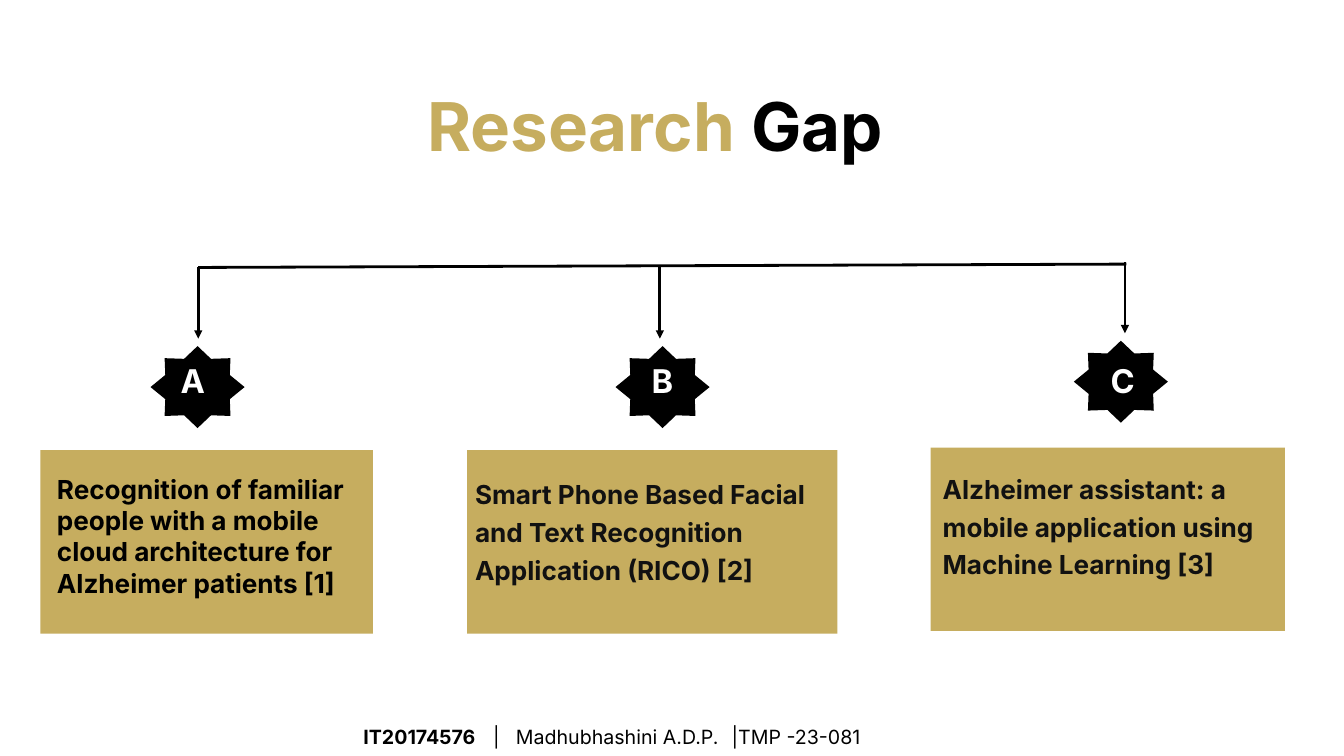
from lxml import etree
from pptx import Presentation
from pptx import util as u
from pptx.dml.color import RGBColor
from pptx.enum import shapes, text
from pptx.oxml.ns import qn

# Content
GOLD, BLACK, INK, WHITE = "C6AD5F", "000000", "111111", "FFFFFF"
TITLE = [("Research ", GOLD, True), ("Gap", BLACK, True)]
FOOTER = [("IT20174576", BLACK, True),
          ("\t|\tMadhubhashini A.D.P.\t|TMP -23-081", BLACK, False)]
TABS = (1.93, 2.27, 5.48)

# Card: left, top, width; note: left, top, width, spacing; star: centre;
# letter: left; arrow: x, top
ITEMS = [
    dict(mark="A", note="Recognition of familiar people with a mobile cloud "
         "architecture for Alzheimer patients [1]", ink=BLACK,
         card=(0.6, 6.7, 4.95), box=(0.75, 6.94, 4.64), gap=None,
         star=(2.94, 5.76), left=2.59, arrow=(2.95, 3.98)),
    dict(mark="B", note="Smart Phone Based Facial and Text Recognition "
         "Application (RICO) [2]", ink=INK,
         card=(6.95, 6.7, 5.51), box=(6.97, 6.93, 5.51), gap=1.2,
         star=(9.86, 5.76), left=9.6, arrow=(9.82, 3.98)),
    dict(mark="C", note="Alzheimer assistant: a mobile application using "
         "Machine Learning [3]", ink=INK,
         card=(13.85, 6.66, 5.27), box=(13.93, 6.85, 4.95), gap=1.2,
         star=(16.68, 5.68), left=16.43, arrow=(16.74, 3.9)),
]
CARD_H, DROP = 2.73, 1.06

# One quarter of the star, from its top point to its right point
QUARTER = [(0, -0.61), (0.2, -0.42), (0.49, -0.43), (0.48, -0.18), (0.7, 0)]
RIGHT = QUARTER + [(x, -y) for x, y in QUARTER[-2::-1]]
STAR = RIGHT + [(-x, y) for x, y in RIGHT[-2:0:-1]]

prs = Presentation()
prs.slide_width, prs.slide_height = u.Inches(20), u.Inches(11.25)
slide = prs.slides.add_slide(prs.slide_layouts[6])
parts = slide.shapes


def tone(code):
    return RGBColor.from_string(code)


def paint(shape, code):
    shape.shadow.inherit = False
    shape.fill.solid()
    shape.fill.fore_color.rgb = tone(code)
    shape.line.fill.background()


def write(box, runs, size, gap=None, pad=0.1, tabs=()):
    frame = parts.add_textbox(*map(u.Inches, box)).text_frame
    frame.word_wrap = True
    frame.vertical_anchor = text.MSO_ANCHOR.TOP
    frame.margin_left = frame.margin_right = u.Inches(pad)
    frame.margin_top = frame.margin_bottom = u.Inches(pad)
    para = frame.paragraphs[0]
    if gap:
        para.line_spacing = gap
    if tabs:
        stops = etree.SubElement(para._p.get_or_add_pPr(), qn("a:tabLst"))
        for pos in tabs:
            etree.SubElement(stops, qn("a:tab"), pos=str(u.Inches(pos)), algn="l")
    for words, code, bold in runs:
        run = para.add_run()
        run.text = words
        run.font.name, run.font.size = "Inter", u.Pt(size)
        run.font.bold, run.font.color.rgb = bold, tone(code)


def draw(start, end, arrow=False):
    line = parts.add_connector(shapes.MSO_CONNECTOR.STRAIGHT,
                               *map(u.Inches, start + end))
    line.line.color.rgb, line.line.width = tone(BLACK), u.Pt(3)
    if arrow:
        etree.SubElement(line.line._get_or_add_ln(), qn("a:tailEnd"), type="triangle")
    etree.SubElement(line._element.spPr, qn("a:effectLst"))


# Title and the bar that joins the arrows
write((6.36, 1.02, 9.24, 1.21), TITLE, 72, gap=1.2, pad=0)
draw((2.95, 3.98), (16.76, 3.93))

# Three branches: card, note, star, letter, arrow
for item in ITEMS:
    card = parts.add_shape(shapes.MSO_SHAPE.RECTANGLE,
                           *map(u.Inches, item["card"] + (CARD_H,)))
    paint(card, GOLD)
    write(item["box"] + (1.8,), [(item["note"], item["ink"], True)], 28, item["gap"])

    mid, row = item["star"]
    points = [(u.Inches(mid + x), u.Inches(row + y)) for x, y in STAR]
    pen = parts.build_freeform(*points[0])
    pen.add_line_segments(points[1:], close=True)
    paint(pen.convert_to_shape(), BLACK)
    write((item["left"], 5.27, 0.8, 0.79), [(item["mark"], WHITE, True)], 35)

    x, top = item["arrow"]
    draw((x, top), (x, top + DROP), arrow=True)

# Footer
write((5.31, 10.63, 8.04, 0.56), FOOTER, 21, gap=1.15, tabs=TABS)

prs.save("out.pptx")
